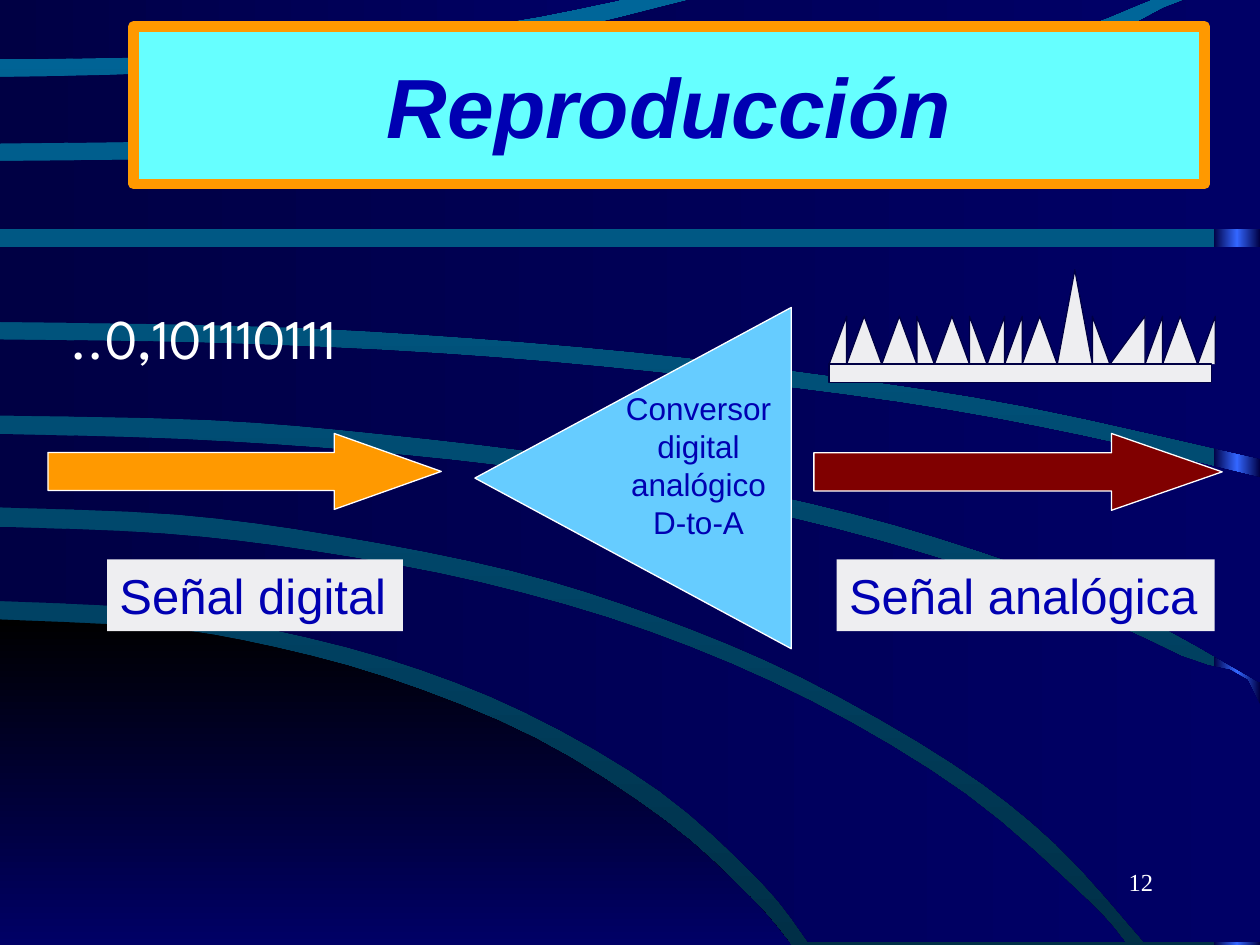
from copy import deepcopy
from dataclasses import dataclass

from pptx import Presentation
from pptx import util as u
from pptx.dml.color import RGBColor
from pptx.enum import shapes, text
from pptx.oxml.ns import qn


@dataclass(frozen=True)
class Theme:
    sky: tuple = ("006699", "002F47")
    night: tuple = ("000044", "000066")
    hill: tuple = ("000000", "000066")
    edge: tuple = ("000044", "3366FF", "000044")
    white: str = "FFFFFF"
    ink: str = "0000B2"
    title_fill: str = "66FFFF"
    orange: str = "FF9900"
    maroon: str = "800000"
    blue: str = "66CCFF"
    pale: str = "EEEEF1"
    outline: str = "000044"
    sans: str = "Arial"
    serif: str = "Times New Roman"
    display: str = "League Spartan"
    title_size: int = 48
    bits_size: int = 32
    label_size: int = 28
    note_size: int = 18
    number_size: int = 14


@dataclass(frozen=True)
class Band:
    """A stripe between an upper and a lower curve, both read left to right."""
    upper: list
    lower: list
    colors: tuple
    angle: int = 0


@dataclass(frozen=True)
class Arrow:
    box: tuple
    head: float
    color: str


@dataclass(frozen=True)
class Label:
    words: str
    box: tuple
    size: int
    font: str
    color: str
    fill: str | None = None
    align: str = "LEFT"
    wrap: bool = False


THEME = Theme()
WIDTH, HEIGHT = 720, 540

BANDS = [
    Band([(0, 354), (81, 358), (139, 366), (220, 387), (306, 422), (380, 469),
          (429, 513), (452, 540)], [(0, 540), (450, 540)], THEME.hill, 270),
    Band([(0, 301), (94, 305), (179, 315), (275, 333), (371, 361), (464, 401),
          (552, 454), (621, 514), (643, 538.5)],
         [(0, 343.5), (76, 347), (133, 355), (220, 376), (300, 407), (377, 452),
          (435, 504), (462, 538.5)], THEME.night),
    Band([(0, 248), (104, 251), (208, 258), (307, 269), (410, 287), (499, 308),
          (589, 337), (675, 375), (720, 403), (720, 538.5)],
         [(0, 290), (101, 294), (192, 306), (292, 326), (375, 352), (458, 387),
          (544, 436), (603, 482), (654, 538.5)], THEME.night),
    Band([(0, 194), (121, 196), (251, 202), (377, 213), (514, 230), (618, 249),
          (720, 273)],
         [(0, 237.5), (120, 240), (218, 248), (333, 262), (439, 282), (535, 307),
          (634, 343), (720, 390)], THEME.night),
    Band([(0, 141), (720, 141)],
         [(0, 184), (134, 186), (239, 191), (361, 201), (477, 215), (585, 232),
          (720, 262)], THEME.night),
    Band([(0, 92), (146, 90), (268, 83), (399, 71), (528, 50), (621, 26), (677, 0),
          (720, 0)], [(0, 131), (720, 131)], THEME.night),
    Band([(0, 44), (87, 42), (192, 35), (300, 22), (394, 0)],
         [(0, 82), (127, 80), (246, 74), (363, 64), (492, 46), (598, 22), (657, 0)],
         THEME.night),
    Band([(0, 0), (354, 0)],
         [(0, 34), (99, 32), (182, 26), (287, 13), (354, 0)], THEME.night),
]

ARROWS = [
    Arrow((465.1, 247.7, 233.3, 43.9), 1.44, THEME.maroon),
    Arrow((27.4, 247.7, 224.8, 43.4), 1.41, THEME.orange),
]

NOTE = Label("Conversor digital analógico\nD-to-A", (336.2, 218.9, 126, 93.6),
             THEME.note_size, THEME.sans, THEME.ink, align="CENTER", wrap=True)
LABELS = [
    Label("12", (516.2, 491.8, 149.8, 36), THEME.number_size, THEME.serif,
          THEME.white, align="RIGHT", wrap=True),
    Label("Señal analógica", (478.1, 319.7, 216, 41), THEME.label_size, THEME.sans,
          THEME.ink, THEME.pale),
    Label("Señal digital", (61.2, 319.7, 169, 41), THEME.label_size, THEME.sans,
          THEME.ink, THEME.pale),
    Label("..0,101110111", (33.1, 169.9, 236.9, 46.1), THEME.bits_size,
          THEME.display, THEME.white),
]

# Each spike: column of its peak, column where it returns to the base
SPIKES = [(1, 1), (2, 3), (4, 5), (5, 6), (7, 8), (8, 9), (10, 10), (11, 11),
          (12, 13), (14, 15), (15, 16), (18, 18), (19, 19), (20, 21), (22, 22)]
TALL_COLUMN = 14


def points(values) -> list:
    return [u.Pt(value) for value in values]


def paint(shape, fill: str | None, line: str | None = None, weight: float = 0.75) -> None:
    if fill:
        shape.fill.solid()
        shape.fill.fore_color.rgb = RGBColor.from_string(fill)
    if line:
        shape.line.color.rgb = RGBColor.from_string(line)
        shape.line.width = u.Pt(weight)
    else:
        shape.line.fill.background()
    shape.shadow.inherit = False


def paint_gradient(fill, owner, colors: tuple, angle: int) -> None:
    fill.gradient()
    fill.gradient_angle = angle
    stop_list = next(owner.iter(qn("a:gsLst")))
    for _ in colors[2:]:
        stop_list.append(deepcopy(stop_list[-1]))
    for index, (stop, color) in enumerate(zip(fill.gradient_stops, colors)):
        stop.position = index / (len(colors) - 1)
        stop.color.rgb = RGBColor.from_string(color)


def write(shape, words: str, *, size: int, font: str, color: str, align: str = "LEFT",
          bold: bool = False, italic: bool = False, wrap: bool = True) -> None:
    frame = shape.text_frame
    frame.text = words
    frame.word_wrap = wrap
    for para in frame.paragraphs:
        para.alignment = getattr(text.PP_ALIGN, align)
        for span in para.runs:
            span.font.name, span.font.size = font, u.Pt(size)
            span.font.bold, span.font.italic = bold, italic
            span.font.color.rgb = RGBColor.from_string(color)


def smooth(knots: list, steps: int = 4) -> list:
    """Catmull-Rom curve through the knots; two knots give a straight line."""
    if len(knots) < 3:
        return knots
    padded = [knots[0], *knots, knots[-1]]
    curve = []
    for a, b, c, d in zip(padded, padded[1:], padded[2:], padded[3:]):
        for t in (step / steps for step in range(steps)):
            curve.append(tuple(
                (2 * q + (r - p) * t + (2 * p - 5 * q + 4 * r - s) * t ** 2
                 + (3 * q - p - 3 * r + s) * t ** 3) / 2
                for p, q, r, s in zip(a, b, c, d)))
    return curve + [knots[-1]]


def draw_outline(canvas, corners: list, close: bool = True):
    start, *rest = [points(corner) for corner in corners]
    builder = canvas.build_freeform(*start)
    builder.add_line_segments(rest, close=close)
    return builder.convert_to_shape()


def draw_band(canvas, band: Band) -> None:
    stripe = draw_outline(canvas, smooth(band.upper) + smooth(band.lower)[::-1])
    paint(stripe, None)
    paint_gradient(stripe.fill, stripe.element, band.colors, band.angle)


def draw_arrow(canvas, arrow: Arrow) -> None:
    shape = canvas.add_shape(shapes.MSO_SHAPE.RIGHT_ARROW, *points(arrow.box))
    shape.adjustments[0], shape.adjustments[1] = 0.5, arrow.head
    paint(shape, arrow.color, THEME.white)


def draw_label(canvas, label: Label) -> None:
    box = canvas.add_textbox(*points(label.box))
    paint(box, label.fill)
    write(box, label.words, size=label.size, font=label.font, color=label.color,
          align=label.align, wrap=label.wrap)


def draw_signal(canvas, left: float = 473.8, base: float = 208.1, step: float = 10.03) -> None:
    trace = [(left, base)]
    for peak, foot in SPIKES:
        top = 154.1 if peak == TALL_COLUMN else 180.7
        trace += [(left + peak * step, top), (left + foot * step, base)]
    paint(draw_outline(canvas, trace, close=False), THEME.pale, THEME.outline)
    bar = canvas.add_shape(shapes.MSO_SHAPE.RECTANGLE, *points((left, base, 218.6, 10.5)))
    paint(bar, THEME.pale, THEME.outline)


def main() -> None:
    deck = Presentation()
    deck.slide_width, deck.slide_height = u.Pt(WIDTH), u.Pt(HEIGHT)
    page = deck.slides.add_slide(deck.slide_layouts[5])
    canvas = page.shapes

    # Backdrop: gradient, glowing right edge and curved bands
    paint_gradient(page.background.fill, page.element, THEME.sky, 270)
    edge = canvas.add_shape(shapes.MSO_SHAPE.RECTANGLE, *points((693.5, 0, 26.5, HEIGHT)))
    paint(edge, None)
    paint_gradient(edge.fill, edge.element, THEME.edge, 0)
    for band in BANDS:
        draw_band(canvas, band)

    # Title, raised above the backdrop
    title = canvas.title
    title.element.getparent().append(title.element)
    title.left, title.top, title.width, title.height = points((76.3, 15.1, 612, 90))
    paint(title, THEME.title_fill, THEME.orange, 6)
    title.text_frame.vertical_anchor = text.MSO_ANCHOR.MIDDLE
    write(title, "Reproducción", size=THEME.title_size, font=THEME.sans,
          color=THEME.ink, align="CENTER", bold=True, italic=True)

    # Analogue signal, arrows and converter
    draw_signal(canvas.add_group_shape().shapes)
    for arrow in ARROWS:
        draw_arrow(canvas, arrow)
    converter = canvas.add_group_shape().shapes
    triangle = draw_outline(converter, [(271.4, 273.2), (452.2, 175.7), (452.2, 370.7)])
    paint(triangle, THEME.blue, THEME.white)
    draw_label(converter, NOTE)

    # Captions, bit stream and page number
    for label in LABELS:
        draw_label(canvas, label)
    deck.save("out.pptx")


if __name__ == "__main__":
    main()
